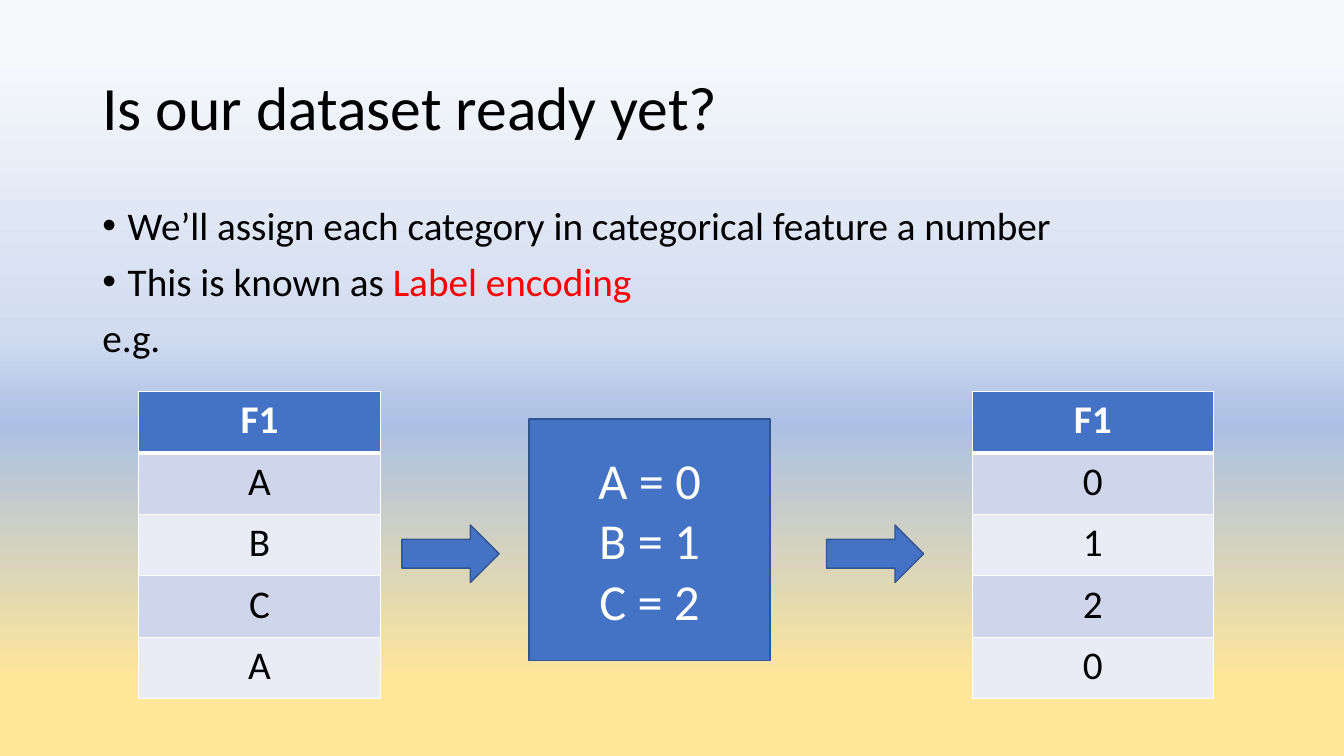
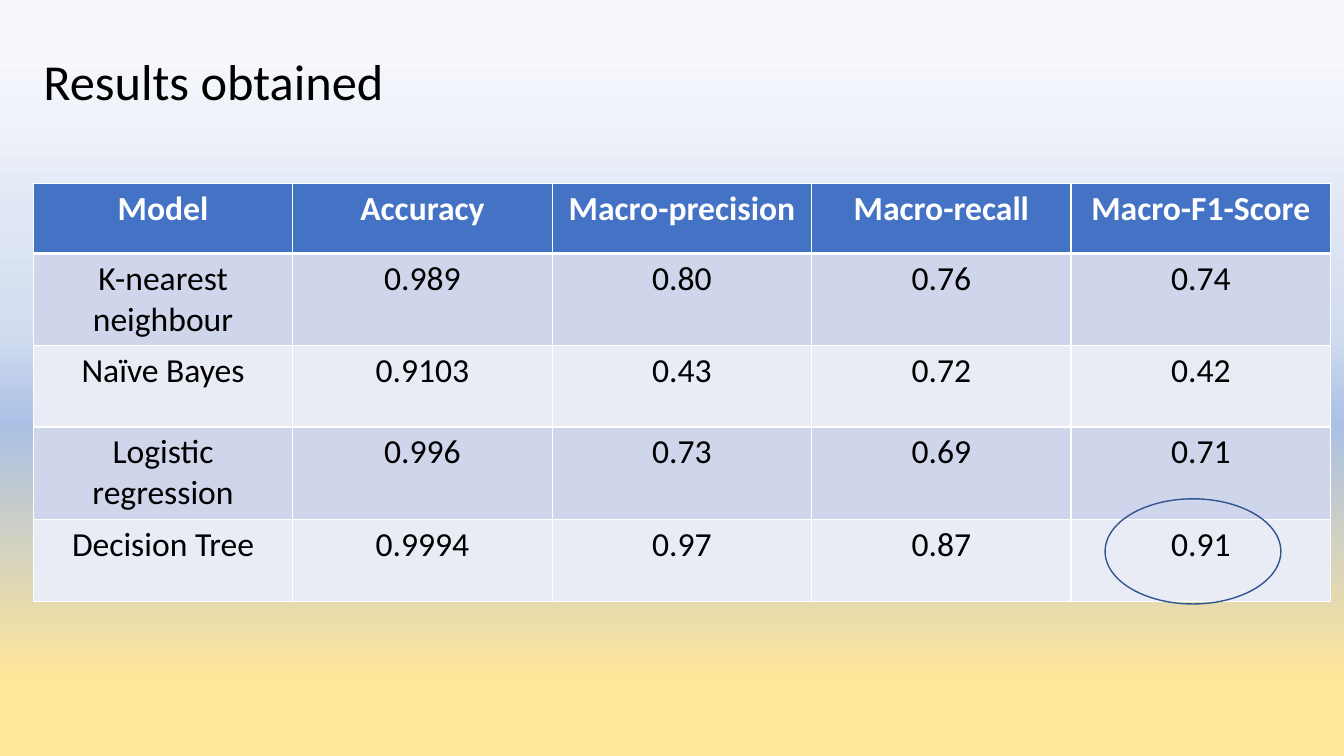
import pptx
import pptx.dml.color
import pptx.enum.shapes
import pptx.enum.text
import pptx.oxml
import pptx.oxml.ns
import pptx.util
from lxml import etree

Cm = pptx.util.Cm
Pt = pptx.util.Pt
qn = pptx.oxml.ns.qn
SHAPES = pptx.enum.shapes.MSO_SHAPE
ALIGN = pptx.enum.text.PP_ALIGN
ANCHOR = pptx.enum.text.MSO_ANCHOR

FONT = "Calibri"
COLORS = {
    "text": "000000",
    "white": "FFFFFF",
    "accent": "4472C4",
    "outline": "325491",
    "highlight": "FF0000",
    "band_dark": "CFD5EA",
    "band_light": "E9EBF5",
}
BACKGROUND_STOPS = [(7, "F6F8FC"), (44, "D1DCF0"), (56, "ABC0E4"), (90, "FFE699")]


def rgb(name):
    return pptx.dml.color.RGBColor.from_string(COLORS[name])


def set_background(master):
    """Give the master the vertical gradient that all slides share."""
    fill = master.background.fill
    fill.gradient()
    fill.gradient_angle = 270
    stop_list = next(master.element.cSld.iter(qn("a:gsLst")))
    for stop in list(stop_list):
        stop_list.remove(stop)
    for percent, color in BACKGROUND_STOPS:
        stop = etree.SubElement(stop_list, qn("a:gs"), pos=str(percent * 1000))
        etree.SubElement(stop, qn("a:srgbClr"), val=color)


def format_runs(paragraph, size, color="text", bold=False):
    for run in paragraph.runs:
        run.font.name = FONT
        run.font.size = Pt(size)
        run.font.bold = bold
        run.font.color.rgb = rgb(color)


def add_titled_slide(presentation, text, left, top, size):
    slide = presentation.slides.add_slide(presentation.slide_layouts[5])
    title = slide.shapes.title
    title.left, title.top = Cm(left), Cm(top)
    title.width, title.height = Cm(29.21), Cm(3.68)
    frame = title.text_frame
    frame.text = text
    frame.auto_size = pptx.enum.text.MSO_AUTO_SIZE.NONE
    frame.vertical_anchor = ANCHOR.MIDDLE
    paragraph = frame.paragraphs[0]
    paragraph.alignment = ALIGN.LEFT
    paragraph.line_spacing = 0.9
    format_runs(paragraph, size)
    return slide


def add_bullet(paragraph):
    properties = paragraph._p.get_or_add_pPr()
    properties.set("marL", str(Cm(0.64)))
    properties.set("indent", str(-Cm(0.64)))
    etree.SubElement(properties, qn("a:buFont"), typeface="Arial")
    etree.SubElement(properties, qn("a:buChar"), char="•")


def add_body(slide, left, top, width, height):
    """Two bullets, the second ending in a highlighted term, then a lead-in."""
    frame = slide.shapes.add_textbox(Cm(left), Cm(top), Cm(width), Cm(height)).text_frame
    frame.word_wrap = True
    frame.text = (
        "We’ll assign each category in categorical feature a number\n"
        "This is known as \n"
        "e.g."
    )
    for index, paragraph in enumerate(frame.paragraphs):
        if index < 2:
            add_bullet(paragraph)
        paragraph.line_spacing = 0.9
        paragraph.space_before = Pt(10 if index else 0)
    term = frame.paragraphs[1].add_run()
    term.text = "Label encoding"
    for paragraph in frame.paragraphs:
        format_runs(paragraph, 28)
    term.font.color.rgb = rgb("highlight")


def set_borders(cell, top, bottom):
    properties = cell._tc.get_or_add_tcPr()
    for side, width in (("L", 1), ("R", 1), ("T", top), ("B", bottom)):
        line = etree.SubElement(properties, qn(f"a:ln{side}"), w=str(Pt(width)))
        fill = etree.SubElement(line, qn("a:solidFill"))
        etree.SubElement(fill, qn("a:srgbClr"), val=COLORS["white"])


def add_banded_table(slide, rows, left, top, column_width, row_heights, size):
    """Table with an accent header, a thick rule below it and banded rows."""
    columns = len(rows[0])
    table = slide.shapes.add_table(
        len(rows), columns, Cm(left), Cm(top),
        Cm(column_width * columns), Cm(sum(row_heights)),
    ).table
    for column in table.columns:
        column.width = Cm(column_width)
    for row_index, values in enumerate(rows):
        table.rows[row_index].height = Cm(row_heights[row_index])
        header = row_index == 0
        band = "band_dark" if row_index % 2 else "band_light"
        for column_index, value in enumerate(values):
            cell = table.cell(row_index, column_index)
            set_borders(cell, top=3 if row_index == 1 else 1, bottom=3 if header else 1)
            cell.fill.solid()
            cell.fill.fore_color.rgb = rgb("accent" if header else band)
            cell.text_frame.text = value
            paragraph = cell.text_frame.paragraphs[0]
            paragraph.alignment = ALIGN.CENTER
            format_runs(paragraph, size, "white" if header else "text", header)


def add_outlined_shape(slide, kind, left, top, width, height, filled=True):
    shape = slide.shapes.add_shape(kind, Cm(left), Cm(top), Cm(width), Cm(height))
    shape.shadow.inherit = False
    if filled:
        shape.fill.solid()
        shape.fill.fore_color.rgb = rgb("accent")
    else:
        shape.fill.background()
    shape.line.color.rgb = rgb("outline")
    shape.line.width = Pt(1)
    return shape


def add_encoding_flow(slide, left, top, width, height):
    """Category table, mapping box and number table, linked by block arrows."""
    part_width = 6.08
    row_heights = [height / 5] * 5
    for table_left, values in ((left, "ABCA"), (left + width - part_width, "0120")):
        rows = [["F1"]] + [[value] for value in values]
        add_banded_table(slide, rows, table_left, top, part_width, row_heights, 28)

    # Mapping from category to number
    mapping = add_outlined_shape(
        slide, SHAPES.RECTANGLE, left + 9.83, top + 0.7, part_width, part_width)
    frame = mapping.text_frame
    frame.text = "A = 0\nB = 1\nC = 2"
    frame.vertical_anchor = ANCHOR.MIDDLE
    for paragraph in frame.paragraphs:
        paragraph.alignment = ALIGN.CENTER
        format_runs(paragraph, 36, "white")

    # Arrows into and out of the mapping
    for offset in (6.63, 17.33):
        add_outlined_shape(slide, SHAPES.RIGHT_ARROW, left + offset, top + 3.37, 2.45, 1.45)


def add_results(slide, left, top, width):
    """Scores per model, with the best macro-F1 score circled."""
    rows = [
        ["Model", "Accuracy", "Macro-precision", "Macro-recall", "Macro-F1-Score"],
        ["K-nearest neighbour", "0.989", "0.80", "0.76", "0.74"],
        ["Naïve Bayes", "0.9103", "0.43", "0.72", "0.42"],
        ["Logistic regression", "0.996", "0.73", "0.69", "0.71"],
        ["Decision Tree", "0.9994", "0.97", "0.87", "0.91"],
    ]
    row_heights = [1.77, 2.31, 2.05, 2.31, 2.08]
    add_banded_table(slide, rows, left, top, width / len(rows[0]), row_heights, 24)
    add_outlined_shape(
        slide, SHAPES.OVAL, left + width - 5.68, top + 7.95, 4.43, 2.65, filled=False)


def main():
    presentation = pptx.Presentation()
    presentation.slide_width = Cm(33.87)
    presentation.slide_height = Cm(19.05)
    set_background(presentation.slide_master)

    # Label encoding
    slide = add_titled_slide(presentation, "Is our dataset ready yet?", 2.33, 0.94, 44)
    add_body(slide, 2.33, 5.07, 29.21, 4.5)
    add_encoding_flow(slide, 3.5, 9.86, 27.08, 7.75)

    # Model scores
    slide = add_titled_slide(presentation, "Results obtained", 0.84, 0.28, 36)
    add_results(slide, 0.84, 4.62, 32.69)

    presentation.save("out.pptx")


if __name__ == "__main__":
    main()
